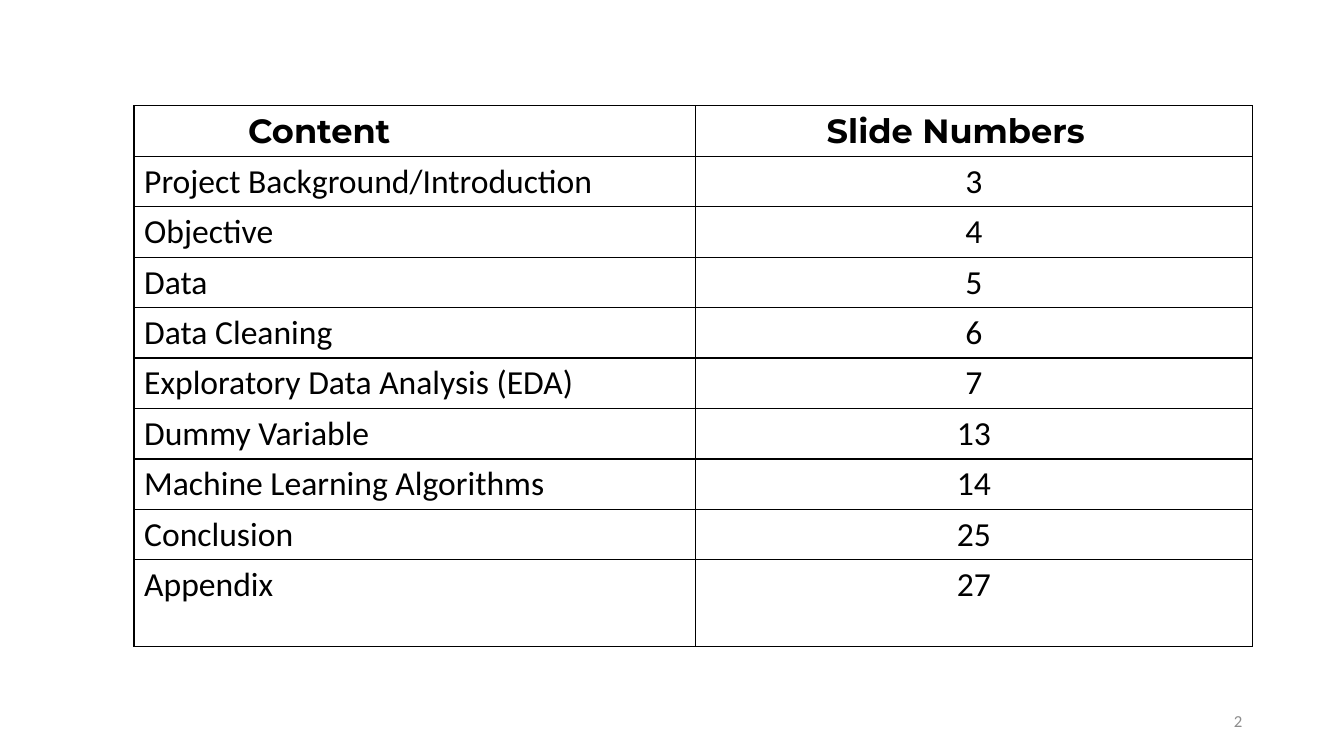
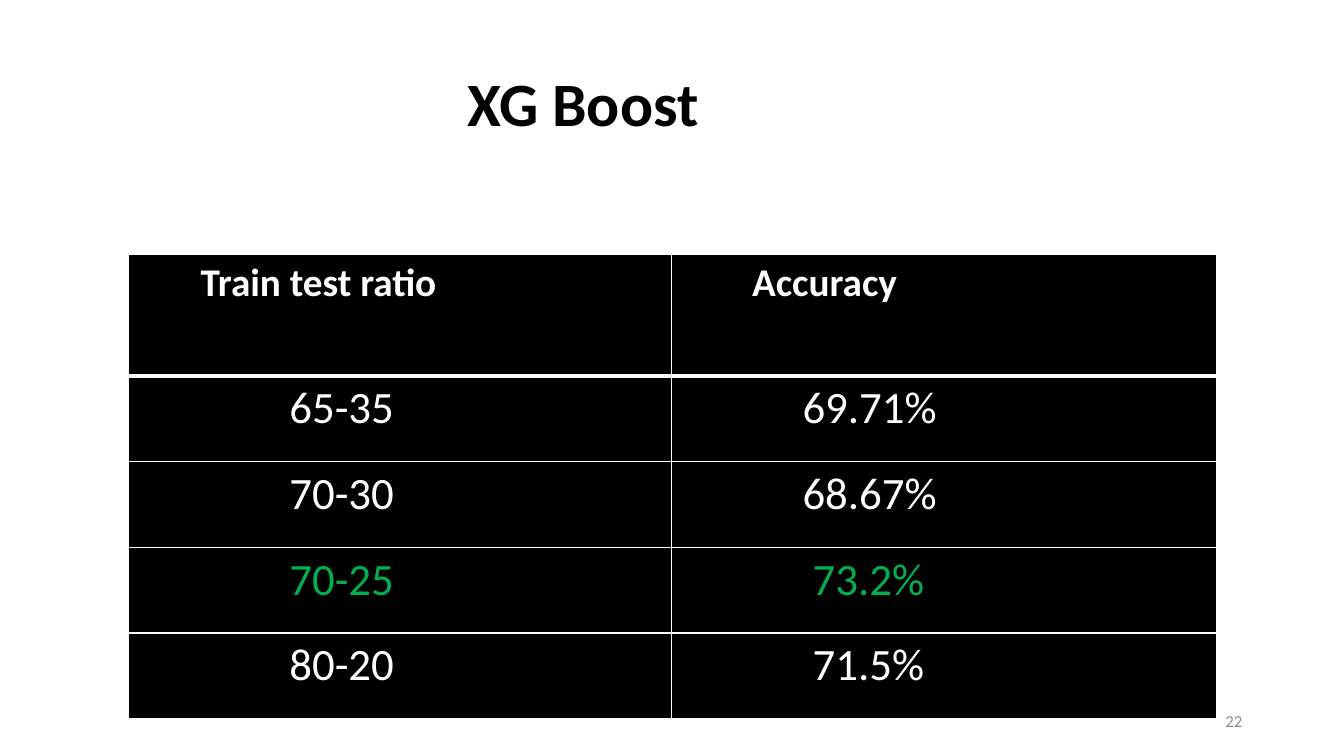
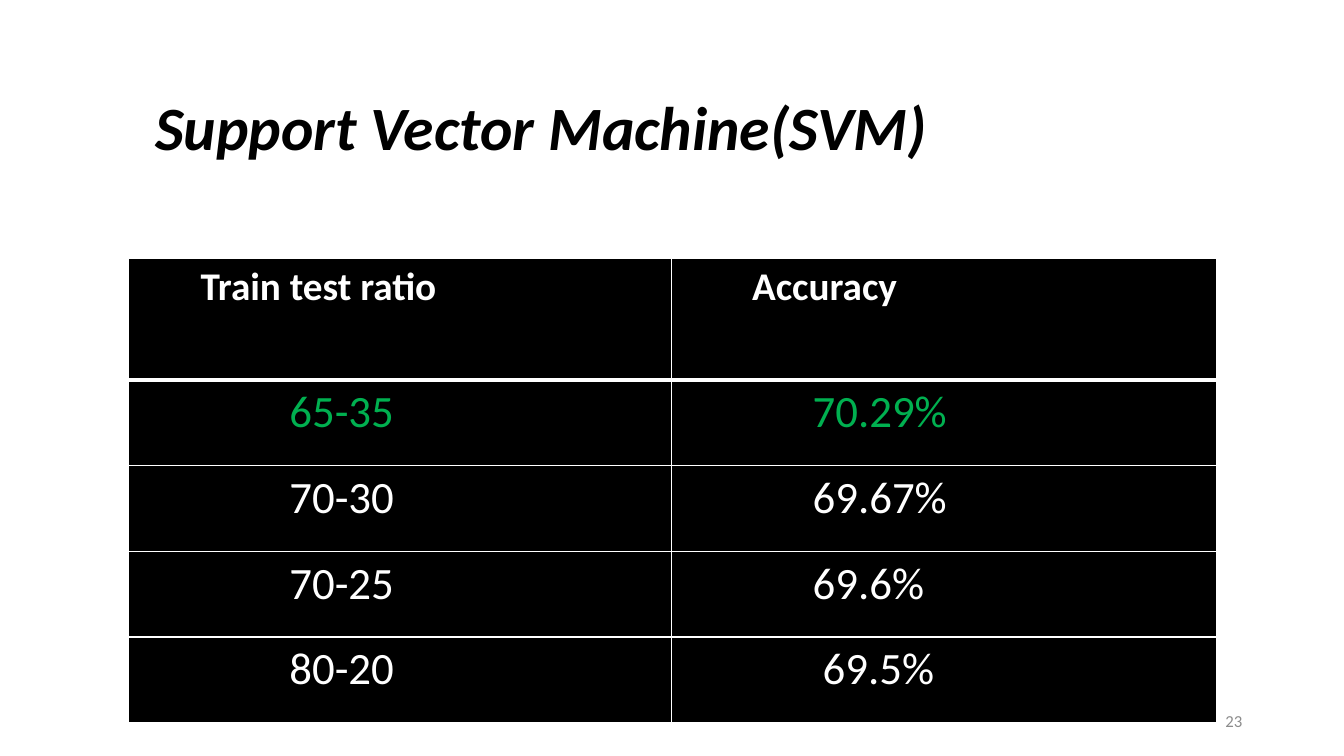
from lxml import etree
from pptx import Presentation
from pptx import util as u
from pptx.dml.color import RGBColor
from pptx.enum import text
from pptx.oxml import ns

BLACK, WHITE, GREEN, GRAY = "000000", "FFFFFF", "00B050", "8C8C8C"
BODY_FONT, HEADER_FONT = "Calibri", "Montserrat"
CELL_INSET = 0.1
RATIO_INDENT = 1.6

CONTENTS = [
    ("Project Background/Introduction", "3"),
    ("Objective", "4"),
    ("Data", "5"),
    ("Data Cleaning", "6"),
    ("Exploratory Data Analysis (EDA)", "7"),
    ("Dummy Variable", "13"),
    ("Machine Learning Algorithms", "14"),
    ("Conclusion", "25"),
    ("Appendix", "27"),
]

# Each result: train-test ratio, accuracy, indent of the accuracy
XG_BOOST_RESULTS = [
    ("65-35", "69.71%", 1.3),
    ("70-30", "68.67%", 1.3),
    ("70-25", "73.2%", 1.4),
    ("80-20", "71.5%", 1.4),
]
SVM_RESULTS = [
    ("65-35", "70.29%", 1.4),
    ("70-30", "69.67%", 1.4),
    ("70-25", "69.6%", 1.4),
    ("80-20", "69.5%", 1.5),
]


def rgb(color):
    return RGBColor.from_string(color)


def add_run(paragraph, wording, size, color=BLACK, font=BODY_FONT, bold=False, italic=False):
    run = paragraph.add_run()
    run.text = wording
    run.font.name = font
    run.font.size = u.Pt(size)
    run.font.bold = bold
    run.font.italic = italic
    run.font.color.rgb = rgb(color)


def add_text_box(slide, left, top, width, height):
    """Add a wrapping text box and return its text frame."""
    box = slide.shapes.add_textbox(*map(u.Inches, (left, top, width, height)))
    box.text_frame.word_wrap = True
    return box.text_frame


def add_title(slide, wording, left, top, width, italic=False):
    frame = add_text_box(slide, left, top, width, 1.14)
    add_run(frame.paragraphs[0], wording, 44, bold=True, italic=italic)


def add_slide_number(slide, number):
    frame = add_text_box(slide, 9.42, 6.95, 3, 0.4)
    frame.vertical_anchor = text.MSO_ANCHOR.MIDDLE
    frame.paragraphs[0].alignment = text.PP_ALIGN.RIGHT
    add_run(frame.paragraphs[0], number, 12, GRAY)


def add_plain_table(slide, left, top, widths, heights):
    """Add a table without header or banding style."""
    frame = slide.shapes.add_table(
        len(heights), len(widths), u.Inches(left), u.Inches(top),
        u.Inches(sum(widths)), u.Inches(sum(heights)))
    table = frame.table
    table.first_row = False
    table.horz_banding = False
    for column, width in zip(table.columns, widths):
        column.width = u.Inches(width)
    for row, height in zip(table.rows, heights):
        row.height = u.Inches(height)
    return table


def set_borders(cell, color, top=1, bottom=1):
    properties = cell._tc.get_or_add_tcPr()
    for side, points in (("L", 1), ("R", 1), ("T", top), ("B", bottom)):
        line = etree.SubElement(properties, ns.qn(f"a:ln{side}"), w=str(u.Pt(points)))
        fill = etree.SubElement(line, ns.qn("a:solidFill"))
        etree.SubElement(fill, ns.qn("a:srgbClr"), val=color)


def fill_cell(cell, wording, size, indent=CELL_INSET, fill=None, centered=False, **run_style):
    cell.margin_left = u.Inches(indent)
    if fill:
        cell.fill.solid()
        cell.fill.fore_color.rgb = rgb(fill)
    else:
        cell.fill.background()
    paragraph = cell.text_frame.paragraphs[0]
    if centered:
        paragraph.alignment = text.PP_ALIGN.CENTER
    add_run(paragraph, wording, size, **run_style)


def add_contents_table(slide):
    heights = [0.5] * len(CONTENTS) + [0.86]
    table = add_plain_table(slide, 1.33, 1.05, (5.57, 5.52), heights)
    for cell in table.iter_cells():
        set_borders(cell, BLACK)
    for column, (heading, indent) in enumerate((("Content", 1.13), ("Slide Numbers", 1.3))):
        fill_cell(table.cell(0, column), heading, 24, indent, font=HEADER_FONT, bold=True)
    for row, (topic, number) in enumerate(CONTENTS, 1):
        fill_cell(table.cell(row, 0), topic, 24)
        fill_cell(table.cell(row, 1), number, 24, centered=True)


def add_accuracy_table(slide, top, results, best_ratio):
    heights = [1.21] + [0.85] * len(results)
    table = add_plain_table(slide, 1.27, top, (5.39, 5.41), heights)
    for column, (heading, indent) in enumerate((("Train test ratio", 0.72), ("Accuracy", 0.8))):
        cell = table.cell(0, column)
        set_borders(cell, WHITE, bottom=3)
        fill_cell(cell, heading, 28, indent, BLACK, color=WHITE, bold=True)
    for row, (ratio, accuracy, accuracy_indent) in enumerate(results, 1):
        color = GREEN if ratio == best_ratio else WHITE
        for column, (value, indent) in enumerate(
                ((ratio, RATIO_INDENT), (accuracy, accuracy_indent))):
            cell = table.cell(row, column)
            set_borders(cell, WHITE, top=3 if row == 1 else 1)
            fill_cell(cell, value, 32, indent, BLACK, color=color)


def add_slide(presentation, number):
    slide = presentation.slides.add_slide(presentation.slide_layouts[6])
    add_slide_number(slide, number)
    return slide


def main():
    presentation = Presentation()
    presentation.slide_width = u.Inches(13.33)
    presentation.slide_height = u.Inches(7.5)

    add_contents_table(add_slide(presentation, "2"))

    xg_boost = add_slide(presentation, "22")
    add_title(xg_boost, "XG Boost", 4.54, 0.59, 5.2)
    add_accuracy_table(xg_boost, 2.52, XG_BOOST_RESULTS, "70-25")

    svm = add_slide(presentation, "23")
    add_title(svm, "Support Vector Machine(SVM)", 1.44, 0.83, 9.88, italic=True)
    add_accuracy_table(svm, 2.56, SVM_RESULTS, "65-35")

    presentation.save("out.pptx")


if __name__ == "__main__":
    main()
